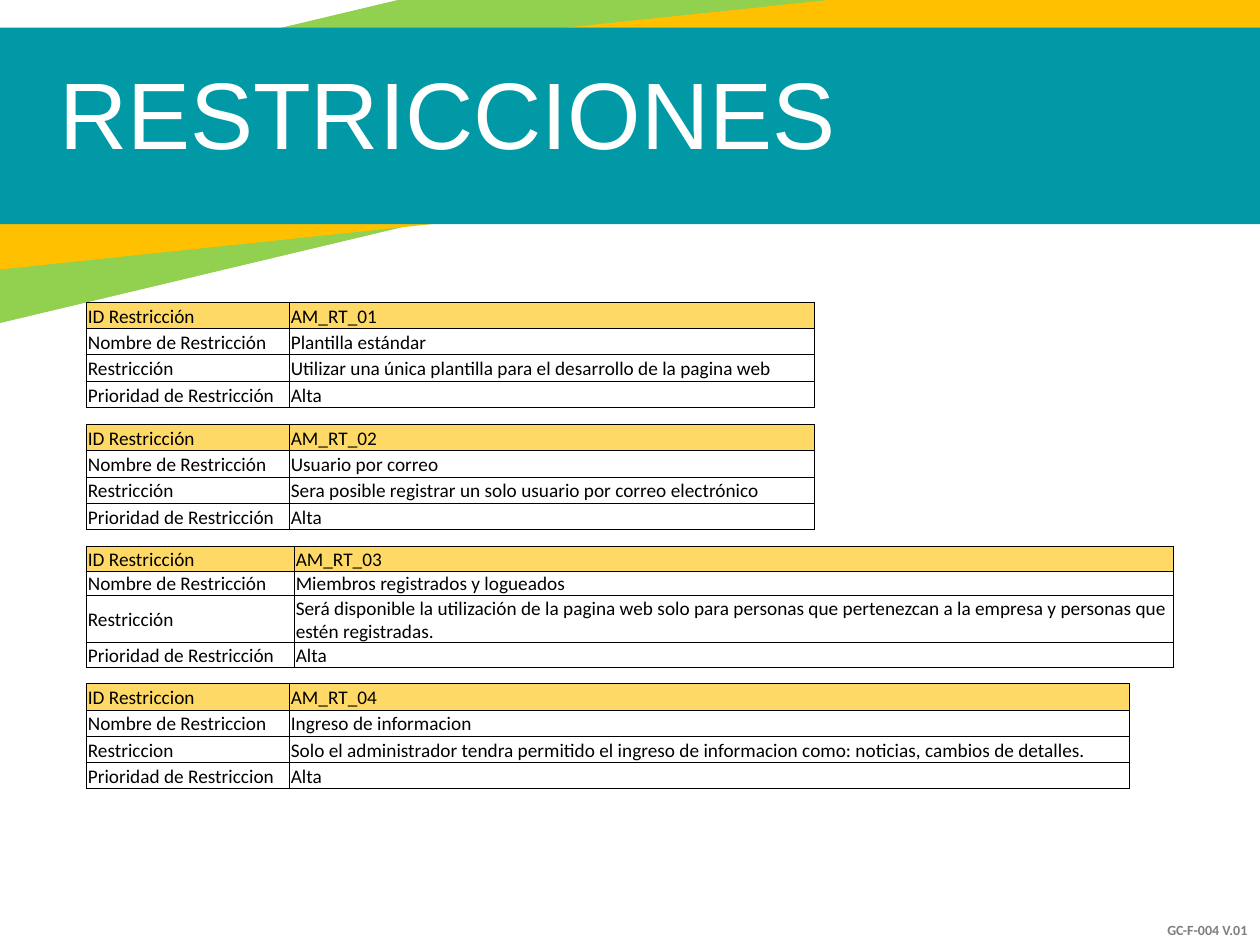
from lxml import etree
from pptx import Presentation
from pptx.dml.color import RGBColor
from pptx.enum.shapes import MSO_SHAPE
from pptx.enum.text import MSO_ANCHOR, PP_ALIGN
from pptx.oxml.ns import qn
from pptx.util import Pt

RECTANGLE = MSO_SHAPE.RECTANGLE
MIDDLE, BOTTOM = MSO_ANCHOR.MIDDLE, MSO_ANCHOR.BOTTOM
LEFT, RIGHT = PP_ALIGN.LEFT, PP_ALIGN.RIGHT

GREEN = RGBColor(0x92, 0xD0, 0x50)
AMBER = RGBColor(0xFF, 0xC0, 0x00)
TEAL = RGBColor(0x00, 0x99, 0xA5)
HEADER_YELLOW = RGBColor(0xFF, 0xD9, 0x66)
WHITE = RGBColor(0xFF, 0xFF, 0xFF)
BLACK = RGBColor(0x00, 0x00, 0x00)
GRAY = RGBColor(0x7F, 0x7F, 0x7F)

CELL_SIZE = 11
BORDER_WIDTH = 0.5
TABLE_LEFT = 49.5

# Left, top, width, height, rotation and colour, from back to front
BANDS = [
    (-180.7, -13, 940.3, 126.7, 346.6, GREEN),
    (-81.4, -24.5, 839.5, 126.7, 346.6, GREEN),
    (-79.2, 14.4, 837.4, 103.7, 354, AMBER),
    (-76.3, 15.8, 837.4, 112.3, 0, TEAL),
]

LABELS = ["ID Restricción", "Nombre de Restricción", "Restricción",
          "Prioridad de Restricción"]
PLAIN_LABELS = [label.replace("ó", "o") for label in LABELS]
SHORT_COLUMNS = [116] + [60] * 5

# Top, column widths, row height, labels and values
RESTRICTIONS = [
    (242.6, SHORT_COLUMNS, 15, LABELS,
     ["AM_RT_02", "Usuario por correo",
      "Sera posible registrar un solo usuario por correo electrónico", "Alta"]),
    (172.8, SHORT_COLUMNS, 15, LABELS,
     ["AM_RT_01", "Plantilla estándar",
      "Utilizar una única plantilla para el desarrollo de la pagina web", "Alta"]),
    (312.3, [118.8, 75.6, 10.8] + [52] * 8, 13, LABELS,
     ["AM_RT_03", "Miembros registrados y logueados",
      "Será disponible la utilización de la pagina web solo para personas que "
      "pertenezcan a la empresa y personas que estén registradas.", "Alta"]),
    (390.7, [116, 480], 15, PLAIN_LABELS,
     ["AM_RT_04", "Ingreso de informacion",
      "Solo el administrador tendra permitido el ingreso de informacion como: "
      "noticias, cambios de detalles.", "Alta"]),
]


def format_runs(para, font_name, size, color, bold=False):
    for span in para.runs:
        span.font.name = font_name
        span.font.size = Pt(size)
        span.font.bold = bold
        span.font.color.rgb = color


def add_band(page, left, top, width, height, rotation, color):
    band = page.shapes.add_shape(RECTANGLE, Pt(left), Pt(top), Pt(width), Pt(height))
    band.rotation = rotation
    band.shadow.inherit = False
    band.fill.solid()
    band.fill.fore_color.rgb = color
    band.line.fill.background()


def add_label(page, left, top, width, height, text, anchor, align):
    box = page.shapes.add_textbox(Pt(left), Pt(top), Pt(width), Pt(height))
    frame = box.text_frame
    frame.word_wrap = True
    frame.vertical_anchor = anchor
    frame.text = text
    frame.paragraphs[0].alignment = align
    return frame


def add_title(page, left, top, width, height):
    frame = add_label(page, left, top, width, height, "RESTRICCIONES", MIDDLE, LEFT)
    frame.margin_left = Pt(5)
    frame.margin_top, frame.margin_bottom = Pt(6), Pt(0)
    format_runs(frame.paragraphs[0], "Arial", 54, WHITE)


def add_document_code(page, left, top, width, height):
    frame = add_label(page, left, top, width, height, "GC-F-004 V.01", BOTTOM, RIGHT)
    format_runs(frame.paragraphs[0], "Calibri", 8, GRAY, bold=True)


def set_borders(cell, sides):
    """Draw the named sides in black and clear the others."""
    properties = cell._tc.get_or_add_tcPr()
    for position, side in enumerate("LRTB"):
        line = etree.Element(qn(f"a:ln{side}"), w=str(Pt(BORDER_WIDTH)))
        if side in sides:
            fill = etree.SubElement(line, qn("a:solidFill"))
            etree.SubElement(fill, qn("a:srgbClr"), val=str(BLACK))
        else:
            etree.SubElement(line, qn("a:noFill"))
        properties.insert(position, line)


def format_cell(cell, text, is_header, anchor, sides):
    cell.margin_left = cell.margin_right = cell.margin_top = Pt(0.72)
    cell.margin_bottom = Pt(0)
    cell.vertical_anchor = anchor
    para = cell.text_frame.paragraphs[0]
    if text:
        para.text = text
        format_runs(para, "Calibri", CELL_SIZE, BLACK)
    else:
        # Keeps empty cells from stretching the row
        etree.SubElement(para._p, qn("a:endParaRPr"), sz=str(CELL_SIZE * 100))
    if is_header:
        cell.fill.solid()
        cell.fill.fore_color.rgb = HEADER_YELLOW
    else:
        cell.fill.background()
    set_borders(cell, sides)


def add_restriction(page, left, top, widths, row_height, labels, values):
    row_count, last = len(labels), len(widths) - 1
    table = page.shapes.add_table(row_count, len(widths), Pt(left), Pt(top),
                                  Pt(sum(widths)), Pt(row_height * row_count)).table
    table.horz_banding = False
    table.first_row = False
    for column, width in zip(table.columns, widths):
        column.width = Pt(width)

    for row, (label, value) in enumerate(zip(labels, values)):
        table.rows[row].height = Pt(row_height)
        is_header = row == 0
        if not is_header and last > 1:
            table.cell(row, 1).merge(table.cell(row, last))
        for column in range(last + 1):
            text = {0: label, 1: value}.get(column, "")
            # The wrapping row centres its label
            anchor = MIDDLE if (column, row, row_height) == (0, 2, 13) else BOTTOM
            sides = "TB"
            if column <= 1:
                sides += "L"
            if column in (0, last) or (column == 1 and not is_header):
                sides += "R"
            format_cell(table.cell(row, column), text, is_header, anchor, sides)


def main():
    deck = Presentation()
    deck.slide_width, deck.slide_height = Pt(720), Pt(540)
    page = deck.slides.add_slide(deck.slide_layouts[6])

    # Document code and title banner
    add_document_code(page, 602.6, 499, 117.4, 41)
    for band in BANDS:
        add_band(page, *band)
    add_title(page, 28.8, 25.9, 714.2, 69.8)

    # Restriction tables
    for restriction in RESTRICTIONS:
        add_restriction(page, TABLE_LEFT, *restriction)

    deck.save("out.pptx")


if __name__ == "__main__":
    main()
